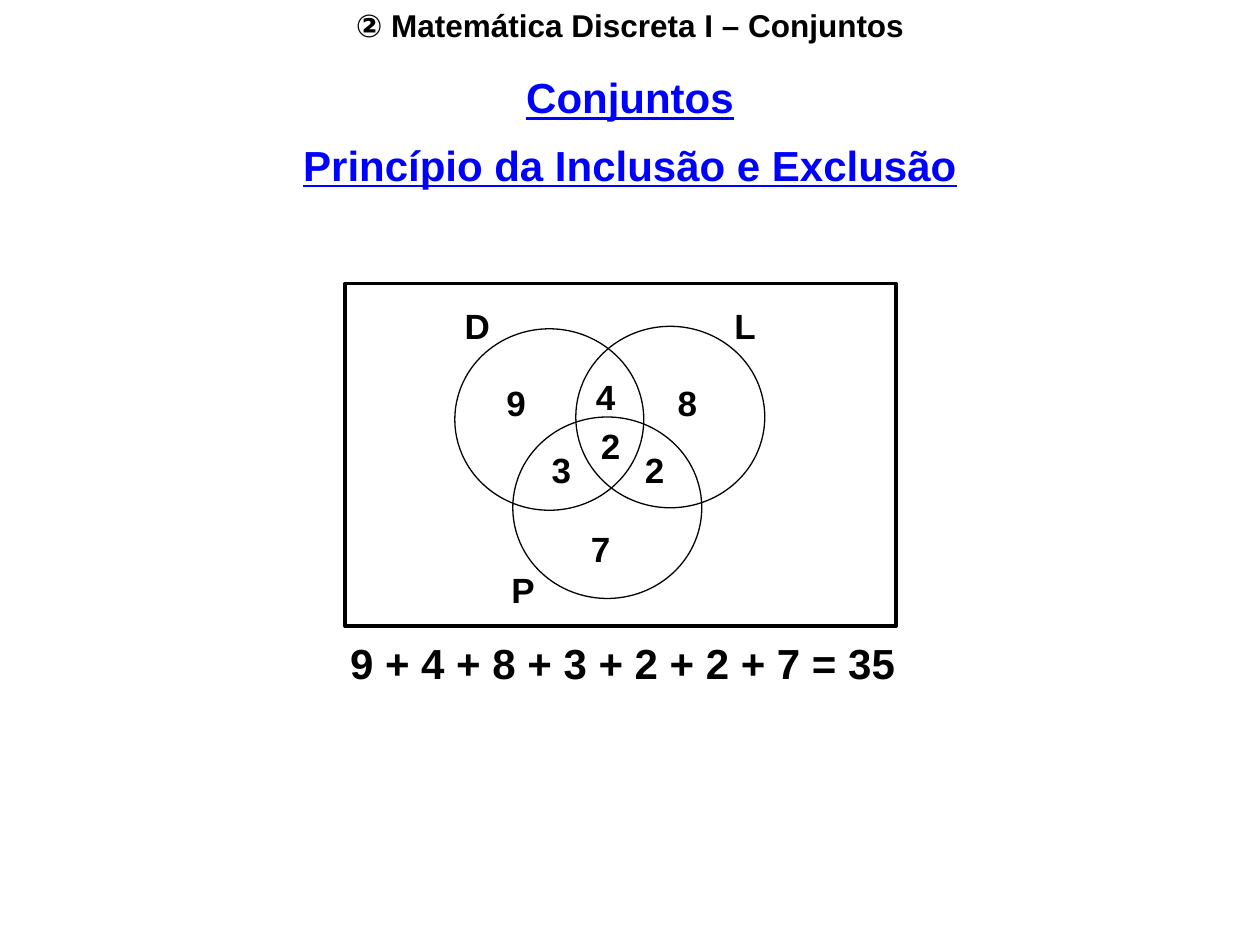
from dataclasses import dataclass

from pptx import Presentation
from pptx.dml.color import RGBColor
from pptx.enum.shapes import MSO_SHAPE as Preset
from pptx.enum.text import MSO_ANCHOR as Anchor, MSO_AUTO_SIZE as AutoSize, PP_ALIGN as Align
from pptx.util import Inches, Pt


@dataclass(frozen=True)
class Theme:
    font: str = "Arial"
    ink: RGBColor = RGBColor(0, 0, 0)
    heading: RGBColor = RGBColor(0, 0, 255)
    header_size: int = 18
    heading_size: int = 24
    label_size: int = 20
    sum_size: int = 24
    frame_line: float = 2.25
    circle_line: float = 0.75


THEME = Theme()
HEADER = "② Matemática Discreta I – Conjuntos"
HEADINGS = ("Conjuntos", "Princípio da Inclusão e Exclusão")
HEADING_GAP = 10
FRAME = (2.74, 2.25, 4.37, 2.72)
CIRCLE_SIZE = (1.5, 1.44)
CIRCLES = ((3.61, 2.61), (4.57, 2.59), (4.07, 3.31))
LABEL_HEIGHT = 0.44
SET_NAMES = (("D", 3.59, 2.37, 0.4), ("L", 5.73, 2.37, 0.37), ("P", 3.96, 4.46, 0.38))
COUNT_WIDTH = 0.35
COUNTS = (
    (9, 3.92, 2.98), (4, 4.63, 2.93), (8, 5.28, 2.98),
    (3, 4.28, 3.51), (2, 4.67, 3.32), (2, 5.02, 3.51),
    (7, 4.59, 4.14),
)


def add_run(paragraph, text, size, color=THEME.ink, underline=None):
    run = paragraph.add_run()
    run.text = text
    font = run.font
    font.name, font.size, font.bold = THEME.font, Pt(size), True
    font.color.rgb = color
    font.underline = underline


def add_text(shapes, text, box, size, align=Align.LEFT, wrap=False):
    frame = shapes.add_textbox(*map(Inches, box)).text_frame
    frame.word_wrap = wrap
    paragraph = frame.paragraphs[0]
    paragraph.alignment = align
    add_run(paragraph, text, size)


def add_outline(shapes, preset, box, width):
    """Add an unfilled shape with a plain line."""
    shape = shapes.add_shape(preset, *map(Inches, box))
    shape.shadow.inherit = False
    shape.fill.background()
    shape.line.color.rgb = THEME.ink
    shape.line.width = Pt(width)


def fill_title(title):
    title.left, title.top, title.width, title.height = map(Inches, (0, 0.52, 10, 1.04))
    frame = title.text_frame
    frame.auto_size = AutoSize.NONE
    frame.vertical_anchor = Anchor.TOP
    for index, text in enumerate(HEADINGS):
        paragraph = frame.add_paragraph() if index else frame.paragraphs[0]
        paragraph.alignment = Align.CENTER
        paragraph.space_before = Pt(HEADING_GAP if index else 0)
        add_run(paragraph, text, THEME.heading_size, THEME.heading, True)


def add_venn_diagram(shapes):
    add_outline(shapes, Preset.RECTANGLE, FRAME, THEME.frame_line)
    for position in CIRCLES:
        add_outline(shapes, Preset.OVAL, position + CIRCLE_SIZE, THEME.circle_line)
    for name, left, top, width in SET_NAMES:
        add_text(shapes, name, (left, top, width, LABEL_HEIGHT), THEME.label_size)
    for count, left, top in COUNTS:
        add_text(shapes, str(count), (left, top, COUNT_WIDTH, LABEL_HEIGHT), THEME.label_size)


def main():
    presentation = Presentation()
    presentation.slide_width, presentation.slide_height = Inches(10), Inches(7.5)
    slide = presentation.slides.add_slide(presentation.slide_layouts[5])
    fill_title(slide.shapes.title)
    add_text(slide.shapes, HEADER, (0, 0, 10, 0.4), THEME.header_size, Align.CENTER, wrap=True)
    diagram = slide.shapes.add_group_shape().shapes
    add_venn_diagram(diagram)
    values = [count for count, _, _ in COUNTS]
    total = " + ".join(map(str, values)) + f" = {sum(values)}"
    add_text(diagram, total, (2.68, 5.01, 4.53, 0.5), THEME.sum_size)
    presentation.save("out.pptx")


if __name__ == "__main__":
    main()
